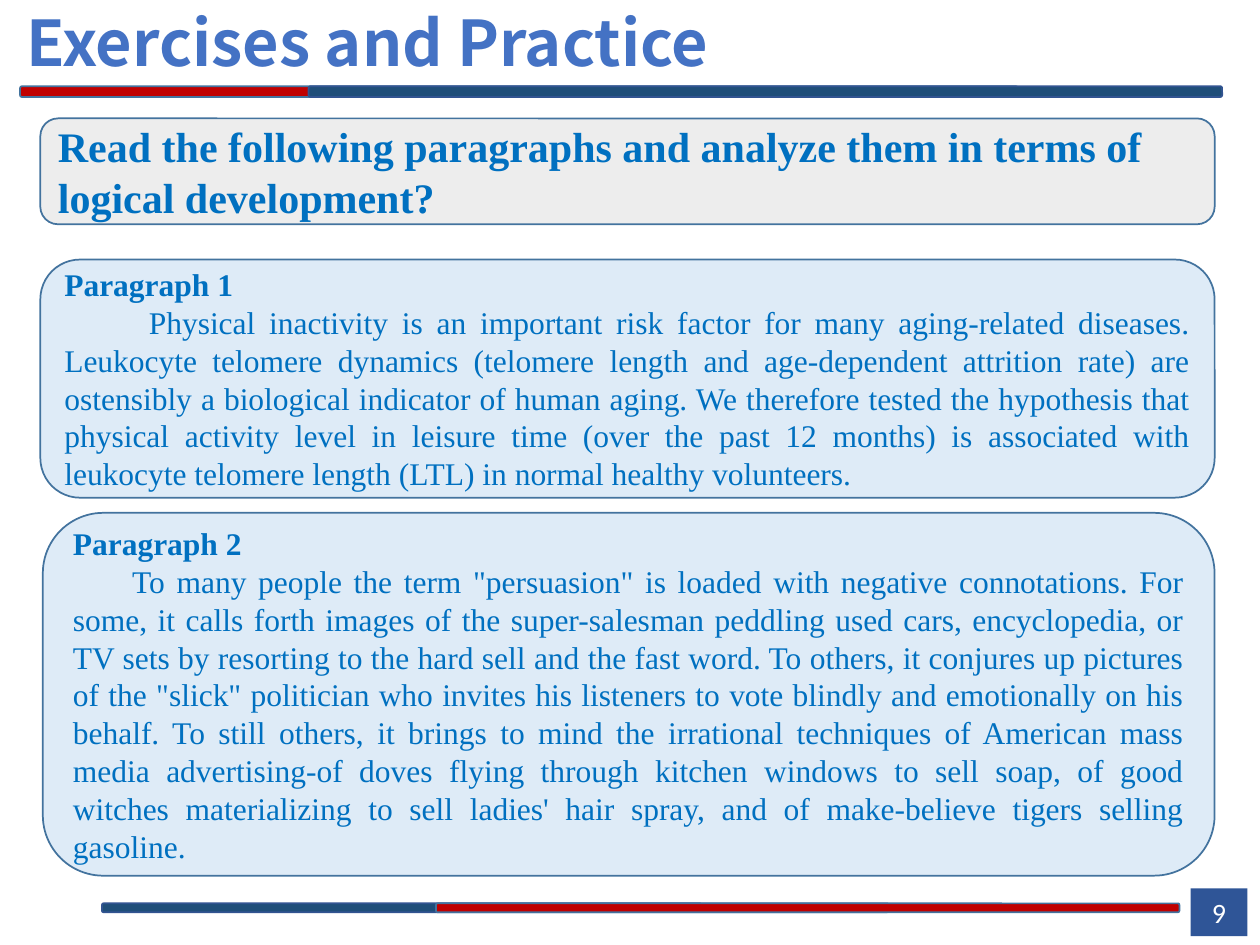
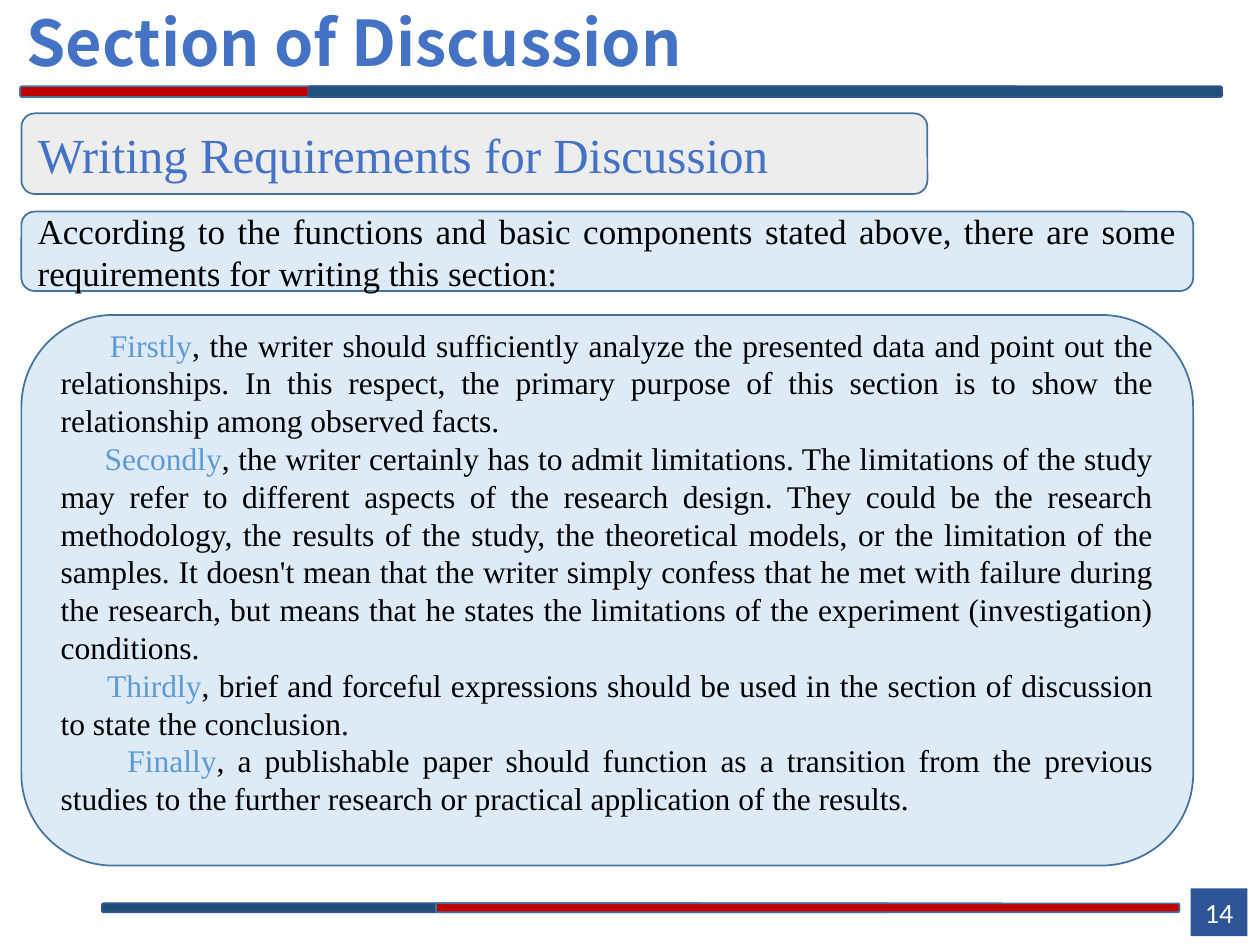
"""Build two lecture slides on exercises and on the discussion section."""
from pptx import Presentation
from pptx import util as u
from pptx.dml import color
from pptx.enum import shapes, text

HUES = {
    "title": "4472C4", "task": "0070C0", "key": "5B9BD5", "ink": "000000",
    "pale": "DEEBF7", "gray": "EDEDED", "edge": "43739E", "rim": "325491",
    "red": "C00000", "navy": "1F4E79", "page": "2F5597", "white": "FFFFFF",
}
SERIF = "Times New Roman"
COLS, ROWS = 100, 75
ALIGN = text.PP_ALIGN
deck = Presentation()
deck.slide_width, deck.slide_height = u.Inches(10), u.Inches(7.5)
CELL_W, CELL_H = deck.slide_width / COLS, deck.slide_height / ROWS


def hue(name):
    """Return the colour stored under a name."""
    return color.RGBColor.from_string(HUES[name])


def place(box):
    """Turn a box of columns and rows into slide lengths."""
    x, y, w, h = box
    return [round(n) for n in (x * CELL_W, y * CELL_H, w * CELL_W, h * CELL_H)]


def panel(slide, box, fill, edge="edge", kind="ROUNDED_RECTANGLE"):
    """Add a filled shape, outlined when an edge colour is given."""
    shape = slide.shapes.add_shape(getattr(shapes.MSO_SHAPE, kind), *place(box))
    shape.shadow.inherit = False
    shape.fill.solid()
    shape.fill.fore_color.rgb = hue(fill)
    if edge:
        shape.line.color.rgb = hue(edge)
        shape.line.width = u.Pt(1)
    else:
        shape.line.fill.background()
    return shape


def style(para, size, ink, bold=False, font=SERIF, align=ALIGN.LEFT):
    """Set the font and alignment of a paragraph."""
    para.alignment = align
    para.font.name, para.font.size, para.font.bold = font, u.Pt(size), bold
    para.font.color.rgb = hue(ink)


def write(shape, rows):
    """Fill a shape with (runs, indent, style) rows; a run is (words, ink)."""
    frame = shape.text_frame
    frame.word_wrap = True
    for i, (runs, indent, look) in enumerate(rows):
        para = frame.add_paragraph() if i else frame.paragraphs[0]
        para._p.get_or_add_pPr().set("indent", str(round(indent * CELL_W)))
        for words, ink in runs:
            run = para.add_run()
            run.text = words
            if ink:
                run.font.color.rgb = hue(ink)
        style(para, **look)
        for run, (words, ink) in zip(para.runs, runs):
            run.font.name, run.font.size = look.get("font", SERIF), u.Pt(look["size"])
            run.font.bold = look.get("bold", False)
            run.font.color.rgb = hue(ink or look["ink"])


def rule(slide, box, bars):
    """Draw overlapping bars, each spanning a share of the box's width."""
    x, y, w, h = box
    for start, end, fill, edge in bars:
        panel(slide, (x + start * w, y, (end - start) * w, h), fill, edge)


def base(title, page):
    """Add a slide with its title, two rules and page number."""
    slide = deck.slides.add_slide(deck.slide_layouts[5])
    head = slide.shapes.title
    head.left, head.top, head.width, head.height = place((2.1, 0.3, 90, 6.2))
    frame = head.text_frame
    frame.margin_left = frame.margin_right = frame.margin_top = frame.margin_bottom = 0
    frame.vertical_anchor = text.MSO_ANCHOR.TOP
    frame.auto_size = text.MSO_AUTO_SIZE.NONE
    frame.text = title
    style(frame.paragraphs[0], 36, "title", True, "Noto Sans CJK SC")
    rule(slide, (1.6, 6.85, 95.4, 0.85),
         [(0, 0.83, "red", "edge"), (0.24, 1, "navy", "rim")])
    rule(slide, (8.1, 71.7, 85.5, 0.7),
         [(0, 0.73, "navy", "rim"), (0.31, 1, "red", "edge")])
    tag = panel(slide, (94.5, 70.5, 4.5, 3.8), "page", None, "RECTANGLE")
    write(tag, [([(page, None)], 0, dict(
        size=16, ink="white", font="Calibri", align=ALIGN.CENTER))])
    return slide


def label(slide, box, words, fill, **look):
    """Add a rounded panel holding a single paragraph."""
    write(panel(slide, box, fill), [([(words, None)], 0, look)])


def sample(slide, box, name, words, indent):
    """Add a panel with a bold name above a justified passage."""
    look = dict(size=18, ink="task", align=ALIGN.JUSTIFY)
    write(panel(slide, box, "pale"), [
        ([(name, None)], 0, dict(look, bold=True)),
        ([(words, None)], indent, look),
    ])


def points(slide, box, items):
    """Add a panel of justified points, each opened by a coloured key word."""
    shape = panel(slide, box, "pale")
    shape.text_frame.margin_bottom = round(3.5 * CELL_H)
    look = dict(size=18, ink="ink", align=ALIGN.JUSTIFY)
    write(shape, [([(key, "key"), (words, None)], indent, look)
                  for key, words, indent in items])


def drill():
    """Build the exercise slide."""
    slide = base("Exercises and Practice", "9")
    label(slide, (3.2, 9.4, 93.2, 8.4),
          "Read the following paragraphs and analyze them in terms of "
          "logical development?", "gray", size=24, ink="task", bold=True)
    sample(slide, (3.2, 20.6, 93.2, 18.9), "Paragraph 1",
           "Physical inactivity is an important risk factor for many "
           "aging-related diseases. Leukocyte telomere dynamics (telomere "
           "length and age-dependent attrition rate) are ostensibly a "
           "biological indicator of human aging. We therefore tested the "
           "hypothesis that physical activity level in leisure time (over the "
           "past 12 months) is associated with leukocyte telomere length (LTL) "
           "in normal healthy volunteers.", 6.7)
    sample(slide, (3.4, 40.7, 93, 28.8), "Paragraph 2",
           "To many people the term \"persuasion\" is loaded with negative "
           "connotations. For some, it calls forth images of the "
           "super-salesman peddling used cars, encyclopedia, or TV sets by "
           "resorting to the hard sell and the fast word. To others, it "
           "conjures up pictures of the \"slick\" politician who invites his "
           "listeners to vote blindly and emotionally on his behalf. To still "
           "others, it brings to mind the irrational techniques of American "
           "mass media advertising-of doves flying through kitchen windows to "
           "sell soap, of good witches materializing to sell ladies' hair "
           "spray, and of make-believe tigers selling gasoline.", 4.7)


def advice():
    """Build the slide on writing a discussion."""
    slide = base("Section of Discussion", "14")
    label(slide, (1.7, 9, 71.9, 6.4), "Writing Requirements for Discussion",
          "gray", size=28, ink="title")
    label(slide, (1.7, 16.8, 93, 6.3),
          "According to the functions and basic components stated above, "
          "there are some requirements for writing this section:",
          "pale", size=20, ink="ink", align=ALIGN.JUSTIFY)
    points(slide, (1.7, 25, 93, 43.7), [
        ("Firstly", ", the writer should sufficiently analyze the presented "
         "data and point out the relationships. In this respect, the primary "
         "purpose of this section is to show the relationship among observed "
         "facts.", 3.9),
        ("Secondly", ", the writer certainly has to admit limitations. The "
         "limitations of the study may refer to different aspects of the "
         "research design. They could be the research methodology, the results "
         "of the study, the theoretical models, or the limitation of the "
         "samples. It doesn't mean that the writer simply confess that he met "
         "with failure during the research, but means that he states the "
         "limitations of the experiment (investigation) conditions.", 3.5),
        ("Thirdly", ", brief and forceful expressions should be used in the "
         "section of discussion to state the conclusion.", 3.7),
        ("Finally", ", a publishable paper should function as a transition "
         "from the previous studies to the further research or practical "
         "application of the results.", 5.3),
    ])


def main():
    """Build both slides and save the deck."""
    drill()
    advice()
    deck.save("out.pptx")


if __name__ == "__main__":
    main()
